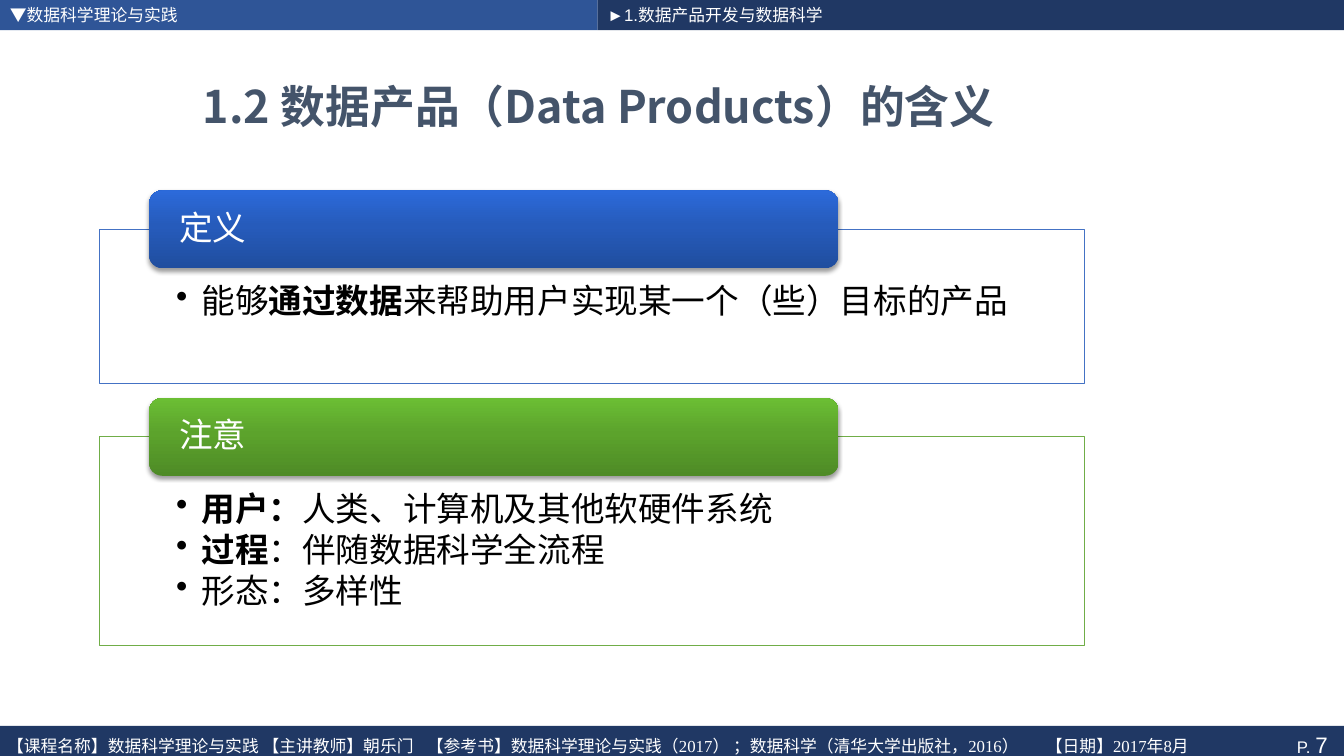
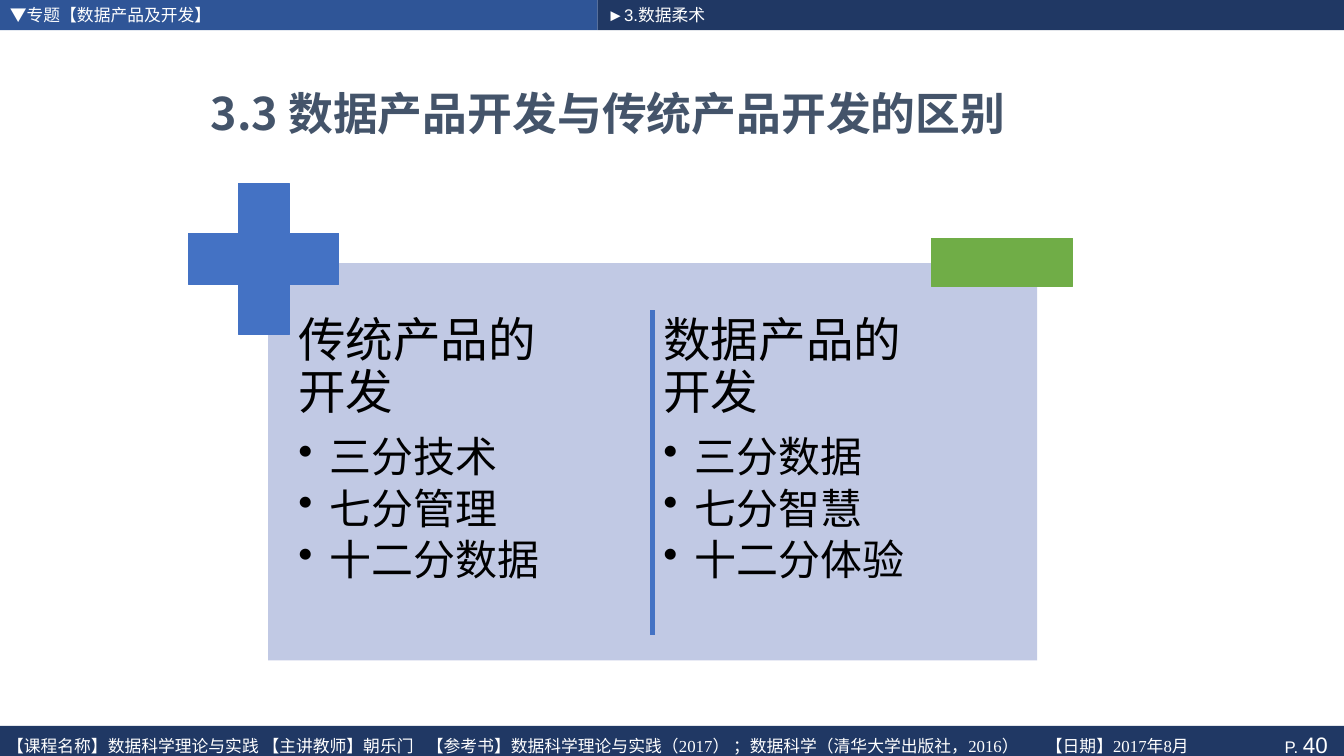
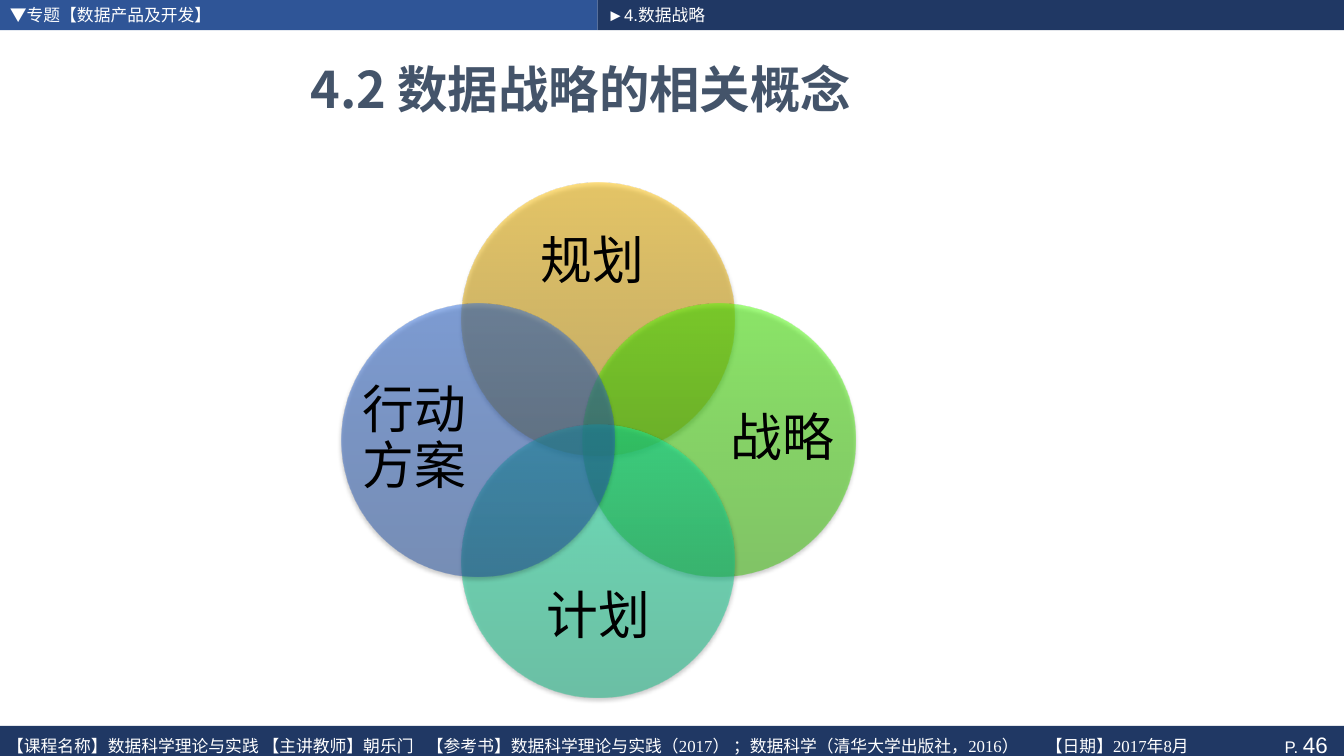
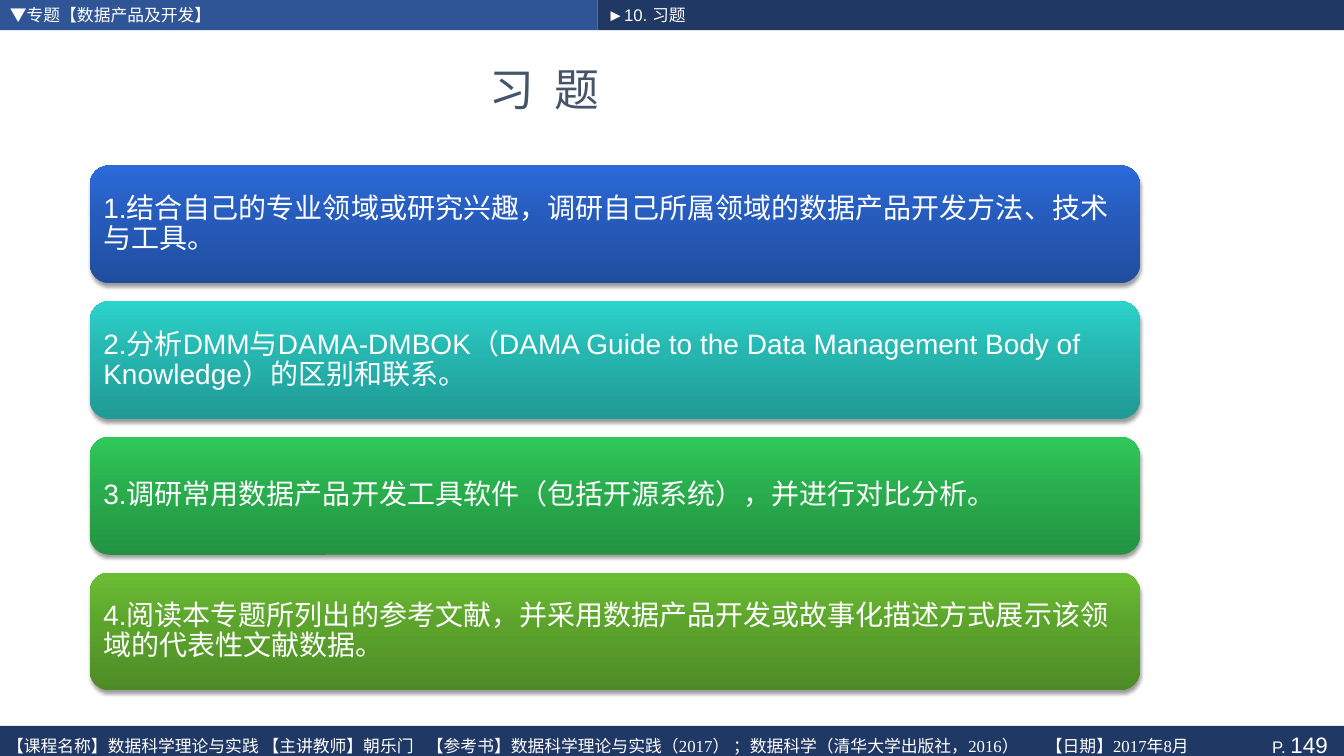
import pptx
import pptx.util
import pptx.dml.color
import pptx.oxml
import pptx.oxml.ns
from pptx.enum.shapes import MSO_CONNECTOR, MSO_SHAPE
from pptx.enum.text import MSO_ANCHOR, PP_ALIGN

Cm, Pt = pptx.util.Cm, pptx.util.Pt

# Shared look
WIDTH, HEIGHT = 33.87, 19.05
SPLIT = 15.06
HEAD_HEIGHT = 0.76
FOOT_TOP = 18.29
WHITE, BLACK, NAVY, MID_BLUE, SLATE = "FFFFFF", "000000", "203864", "2F5597", "44546A"
BLUE, GREEN, LILAC = "4472C4", "70AD47", "C1C9E4"
BLUE_RAMP = ("204E9F", "265BBB", "2C6ADA")
GREEN_RAMP = ("4E8B26", "5CA32C", "6BBE34")
BODY_FONT, TITLE_FONT, FOOTER_FONT = "Arial", "Noto Sans CJK SC", "Times New Roman"

# Content
FOOTER = ("【课程名称】数据科学理论与实践 【主讲教师】朝乐门\t"
          "【参考书】数据科学理论与实践（2017） ；数据科学（清华大学出版社，2016）\t【日期】2017年8月")
FOOTER_TABS = (10.58, 26.18)
TOPIC = "▼专题【数据产品及开发】"

# Each panel: heading, top, height, line colour, heading ramp, lines of (text, bold)
PANELS = [
    ("定义", 5.77, 3.89, BLUE, BLUE_RAMP,
     [[("能够", False), ("通过数据", True), ("来帮助用户实现某一个（些）目标的产品", False)]]),
    ("注意", 11.0, 5.26, GREEN, GREEN_RAMP,
     [[("用户：", True), ("人类、计算机及其他软硬件系统", False)],
      [("过程", True), ("：伴随数据科学全流程", False)],
      [("形态：多样性", False)]]),
]
COLUMNS = [
    ("传统产品的\v开发", ["三分技术", "七分管理", "十二分数据"]),
    ("数据产品的\v开发", ["三分数据", "七分智慧", "十二分体验"]),
]
# Each circle: label, direction from the centre, ramp
CIRCLES = [
    ("规划 ", (0, -1), ("B88B00", "D9A300", "FDBE00")),
    ("战略 ", (1, 0), ("35BB00", "3EDC00", "49FF01")),
    ("计划", (0, 1), ("0AB27C", "0CD292", "0EF4AA")),
    ("行动方案", (-1, 0), BLUE_RAMP),
]
EXERCISES = [
    ("1.结合自己的专业领域或研究兴趣，调研自己所属领域的数据产品开发方法、技术与工具。", BLUE_RAMP),
    ("2.分析DMM与DAMA-DMBOK（DAMA Guide to the Data Management Body of Knowledge）的区别和联系。",
     ("209A95", "26B5AF", "2CD3CC")),
    ("3.调研常用数据产品开发工具软件（包括开源系统），并进行对比分析。",
     ("239342", "29AD4D", "2FC95A")),
    ("4.阅读本专题所列出的参考文献，并采用数据产品开发或故事化描述方式展示该领域的代表性文献数据。",
     GREEN_RAMP),
]


# Drawing helpers
def color(value):
    return pptx.dml.color.RGBColor.from_string(value)


def element(xml):
    return pptx.oxml.parse_xml(xml.replace(
        ">", f" {pptx.oxml.ns.nsdecls('a')}>", 1) if "/>" not in xml.split(">")[0] + ">"
        else xml.replace("/>", f" {pptx.oxml.ns.nsdecls('a')}/>", 1))


def style(span, size, tone, font=BODY_FONT, bold=False):
    span.font.size, span.font.name, span.font.bold = Pt(size), font, bold
    span.font.color.rgb = color(tone)


def add_shape(page, kind, place, fill, line=None):
    shape = page.shapes.add_shape(kind, *map(Cm, place))
    shape.shadow.inherit = False
    shape.fill.solid()
    shape.fill.fore_color.rgb = color(fill)
    if line:
        shape.line.color.rgb = color(line)
        shape.line.width = Pt(0.5)
    else:
        shape.line.fill.background()
    return shape


def add_glossy(page, kind, place, ramp, alpha=100):
    """A shape with a vertical three-step gradient and a soft shadow."""
    shape = add_shape(page, kind, place, ramp[0])
    stops = "".join(
        f'<a:gs pos="{pos}000"><a:srgbClr val="{tone}"><a:alpha val="{alpha}000"/></a:srgbClr></a:gs>'
        for pos, tone in zip((0, 55, 100), ramp))
    props = shape.element.spPr
    props.replace(props.find(pptx.oxml.ns.qn("a:solidFill")), element(
        f'<a:gradFill><a:gsLst>{stops}</a:gsLst><a:lin ang="16200000" scaled="0"/></a:gradFill>'))
    props.find(pptx.oxml.ns.qn("a:effectLst")).append(element(
        '<a:outerShdw blurRad="39370" dist="25400" dir="5400000" rotWithShape="0">'
        '<a:srgbClr val="000000"><a:alpha val="38000"/></a:srgbClr></a:outerShdw>'))
    return shape


def set_frame(shape, insets=(0.25, 0.13, 0.25, 0.13), anchor=MSO_ANCHOR.TOP):
    frame = shape.text_frame
    frame.word_wrap = True
    frame.vertical_anchor = anchor
    frame.margin_left, frame.margin_top, frame.margin_right, frame.margin_bottom = map(Cm, insets)
    return frame


def add_frame(page, place, **options):
    return set_frame(page.shapes.add_textbox(*map(Cm, place)), **options)


def add_para(frame, spans, size, tone, indent=0, after=0.0, align=PP_ALIGN.LEFT, spacing=0.9):
    """Add a paragraph; after is a share of the text size, indent makes it a bullet."""
    para = frame.paragraphs[0]
    if para.runs:
        para = frame.add_paragraph()
    if isinstance(spans, str):
        para.text = spans
        for span in para.runs:
            style(span, size, tone)
    else:
        for text, bold in spans:
            span = para.add_run()
            span.text = text
            style(span, size, tone, bold=bold)
    para.alignment = align
    para.line_spacing = spacing
    para.space_after = Pt(size * after)
    if indent:
        props = para._p.get_or_add_pPr()
        props.set("marL", str(Cm(indent)))
        props.set("indent", str(-Cm(indent)))
        props.append(element('<a:buChar char="•"/>'))
    return para


# Shared parts
def set_up_layout(layout, page):
    """Draw the bands and the footer once, then hand them to the layout."""
    bands = [
        add_shape(page, MSO_SHAPE.RECTANGLE, (0, 0, SPLIT, HEAD_HEIGHT), MID_BLUE),
        add_shape(page, MSO_SHAPE.RECTANGLE, (SPLIT, 0, WIDTH - SPLIT, HEAD_HEIGHT), NAVY),
        add_shape(page, MSO_SHAPE.RECTANGLE, (0, FOOT_TOP, WIDTH, HEIGHT - FOOT_TOP), NAVY),
    ]
    box = page.shapes.add_textbox(Cm(0), Cm(18.42), Cm(32.4), Cm(0.63))
    para = set_frame(box, insets=(0.18, 0.13, 0, 0)).paragraphs[0]
    stops = "".join(f'<a:tab pos="{Cm(stop)}" algn="l"/>' for stop in FOOTER_TABS)
    para._p.get_or_add_pPr().append(element(f"<a:tabLst>{stops}</a:tabLst>"))
    para.text = FOOTER
    for span in para.runs:
        style(span, 12, WHITE, FOOTER_FONT)
    for shape in reversed(bands + [box]):
        layout.shapes.element.insert(2, shape.element)


def start_page(page, title, place, number, chapter, topic=TOPIC, size=32, bold=True):
    heading = page.shapes.title
    heading.left, heading.top, heading.width, heading.height = map(Cm, place)
    heading.text_frame.text = title
    set_frame(heading, anchor=MSO_ANCHOR.MIDDLE)
    para = heading.text_frame.paragraphs[0]
    para.alignment = PP_ALIGN.CENTER
    for span in para.runs:
        style(span, size, SLATE, TITLE_FONT, bold)
        span.font._element.append(element(f'<a:ea typeface="{TITLE_FONT}"/>'))
    for left, text in ((0, topic), (SPLIT, chapter)):
        add_para(add_frame(page, (left, 0, 12, HEAD_HEIGHT)), text, 12, WHITE, spacing=1.0)
    frame = add_frame(page, (28.5, FOOT_TOP, WIDTH - 28.5, HEIGHT - FOOT_TOP),
                      insets=(0, 0.18, 0.41, 0), anchor=MSO_ANCHOR.MIDDLE)
    para = add_para(frame, [("P. ", False), (str(number), False)], 12, WHITE,
                    align=PP_ALIGN.RIGHT, spacing=1.0)
    para.runs[1].font.size = Pt(16)


# Slides
def build_definition(page):
    start_page(page, "1.2 数据产品（Data Products）的含义", (1.35, 1.52, 27.48, 2.29), 7,
               "►1.数据产品开发与数据科学", topic="▼数据科学理论与实践")
    for heading, top, height, line, ramp, lines in PANELS:
        panel = add_shape(page, MSO_SHAPE.RECTANGLE, (2.51, top, 24.82, height), WHITE, line)
        frame = set_frame(panel, insets=(1.93, 1.4, 1.93, 0.48))
        for spans in lines:
            add_para(frame, spans, 24, BLACK, indent=0.64, after=0.15)
        tab = add_glossy(page, MSO_SHAPE.ROUNDED_RECTANGLE, (3.76, top - 0.97, 17.37, 1.96), ramp)
        frame = set_frame(tab, insets=(0.66, 0, 0.66, 0), anchor=MSO_ANCHOR.MIDDLE)
        add_para(frame, heading, 24, WHITE, after=0.35)


def build_comparison(page):
    start_page(page, "3.3 数据产品开发与传统产品开发的区别", (1.12, 1.68, 28.42, 2.29), 40,
               "►3.数据柔术")
    add_shape(page, MSO_SHAPE.RECTANGLE, (6.76, 6.63, 19.38, 10.01), LILAC)
    for index, (heading, points) in enumerate(COLUMNS):
        frame = add_frame(page, (7.34 + index * 9.2, 7.8, 8.99, 8.56), insets=(0.18,) * 4)
        add_para(frame, heading, 34, BLACK, after=0.35)
        for point in points:
            add_para(frame, point, 30, BLACK, indent=0.79, after=0.15)
    plus = add_shape(page, MSO_SHAPE.CROSS, (4.75, 4.63, 3.79, 3.79), BLUE, BLUE)
    plus.adjustments[0] = 0.33
    add_shape(page, MSO_SHAPE.RECTANGLE, (23.47, 6.0, 3.56, 1.22), GREEN, GREEN)
    divider = page.shapes.add_connector(
        MSO_CONNECTOR.STRAIGHT, Cm(16.44), Cm(7.82), Cm(16.44), Cm(16.0))
    divider.line.color.rgb = color(BLUE)
    divider.line.width = Pt(3.78)
    divider.element.spPr.append(element("<a:effectLst/>"))


def build_circles(page):
    start_page(page, "4.2 数据战略的相关概念", (1.12, 1.09, 27.03, 2.29), 46,
               "►4.数据战略", size=36)
    center_x, center_y, diameter, reach = 15.08, 11.09, 6.88, 3.04
    for label, (across, down), ramp in CIRCLES:
        place = (center_x + across * reach - diameter / 2,
                 center_y + down * reach - diameter / 2, diameter, diameter)
        add_glossy(page, MSO_SHAPE.OVAL, place, ramp, alpha=50)
        width, height = (2.64, 5.28) if across else (5.28, 2.18)
        frame = add_frame(page, (center_x + across * 4.64 - width / 2,
                                 center_y + down * 4.47 - height / 2, width, height),
                          insets=(0,) * 4, anchor=MSO_ANCHOR.MIDDLE)
        add_para(frame, label, 37, BLACK, after=0.35, align=PP_ALIGN.CENTER)


def build_exercises(page):
    start_page(page, "习  题", (1.12, 1.09, 25.22, 2.29), 149, "►10. 习题", bold=False)
    for index, (text, ramp) in enumerate(EXERCISES):
        card = add_glossy(page, MSO_SHAPE.ROUNDED_RECTANGLE,
                          (2.26, 4.17 + index * 3.42, 26.47, 2.97), ramp)
        frame = set_frame(card, insets=(0.2,) * 4, anchor=MSO_ANCHOR.MIDDLE)
        add_para(frame, text, 20, WHITE, after=0.35)


def main():
    deck = pptx.Presentation()
    deck.slide_width, deck.slide_height = Cm(WIDTH), Cm(HEIGHT)
    layout = deck.slide_layouts[5]
    builders = (build_definition, build_comparison, build_circles, build_exercises)
    for index, build in enumerate(builders):
        page = deck.slides.add_slide(layout)
        if index == 0:
            set_up_layout(layout, page)
        build(page)
    deck.save("out.pptx")


if __name__ == "__main__":
    main()
